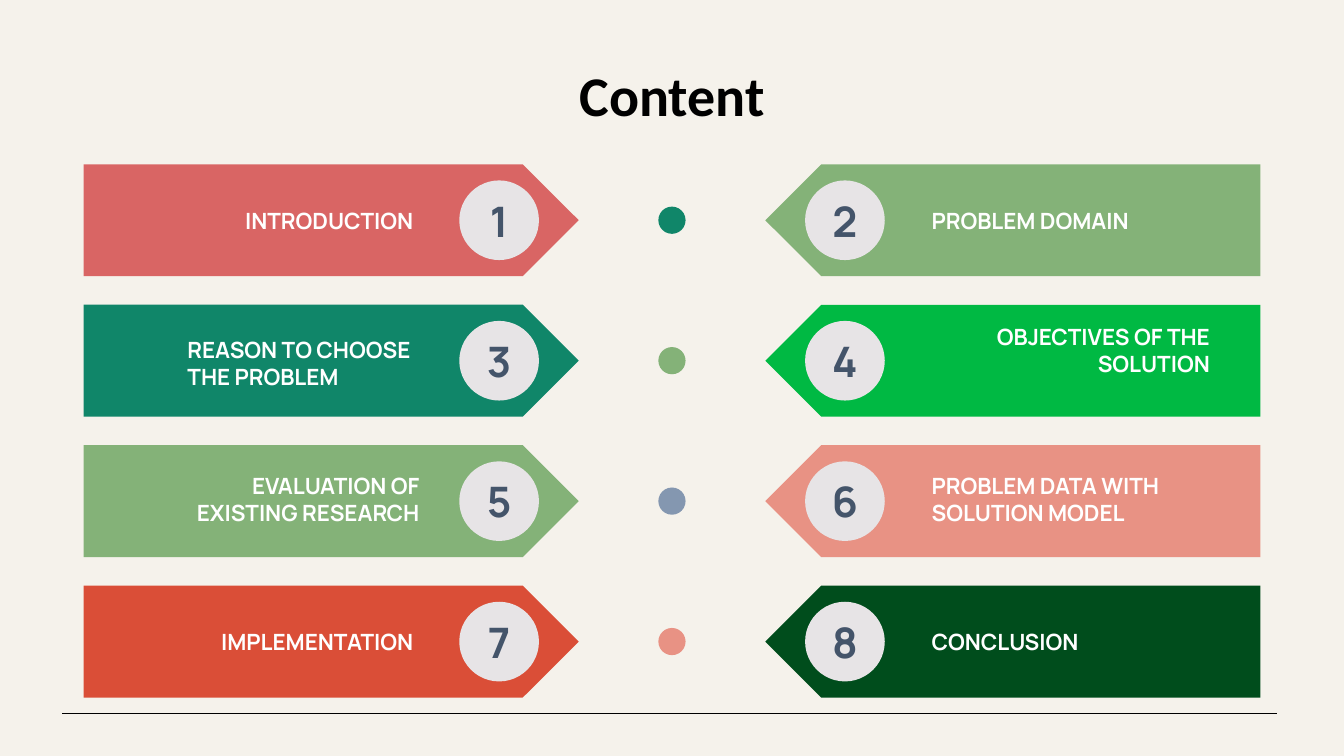
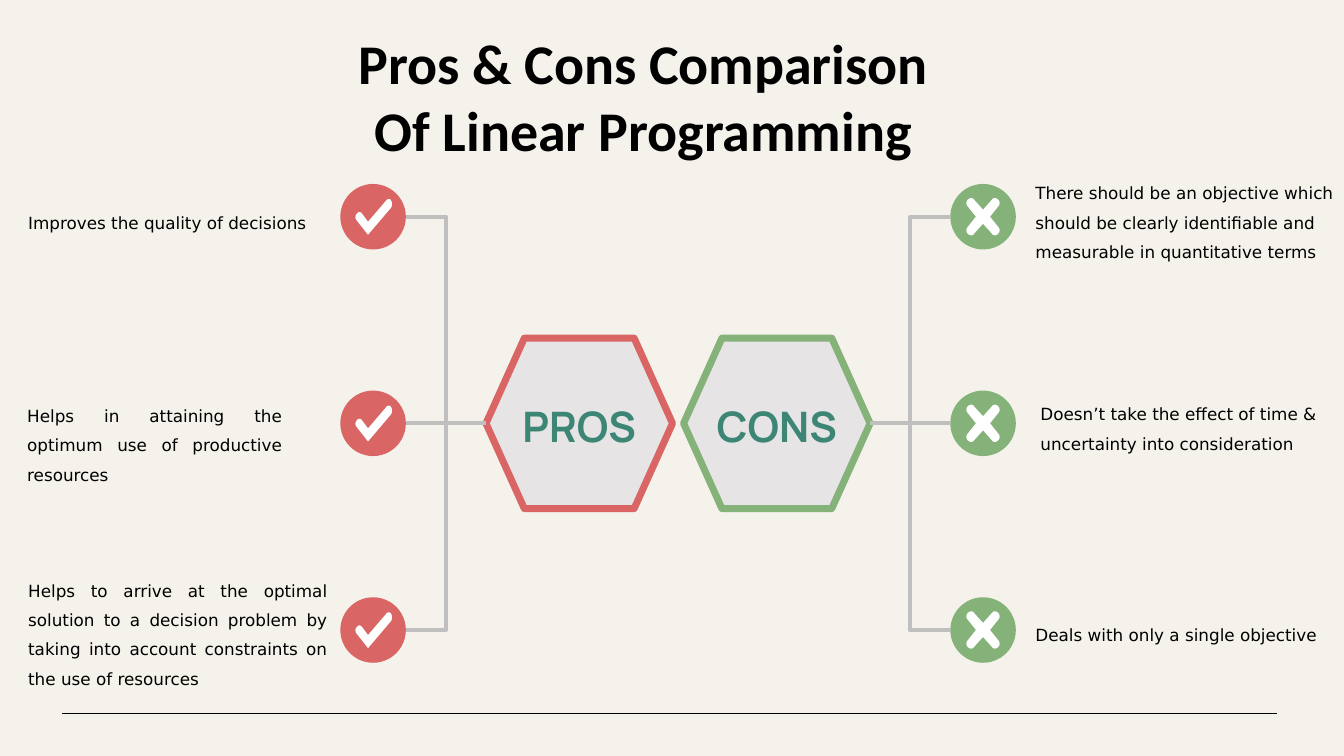
"""Build a contents slide and a pros and cons slide for linear programming."""
import pptx
import pptx.util
import pptx.dml.color
import pptx.enum.shapes
import pptx.enum.text
import pptx.oxml.ns
import lxml.etree

Inches = pptx.util.Inches
SHAPE = pptx.enum.shapes.MSO_SHAPE
CONNECTOR = pptx.enum.shapes.MSO_CONNECTOR
ANCHOR = pptx.enum.text.MSO_ANCHOR
ALIGN = pptx.enum.text.PP_ALIGN
LEFT, RIGHT, CENTER, JUSTIFY = ALIGN.LEFT, ALIGN.RIGHT, ALIGN.CENTER, ALIGN.JUSTIFY

COLORS = {
    "paper": "F5F2EB", "black": "000000", "white": "FFFFFF", "disc": "E7E4E6",
    "slate": "44546A", "wire": "BFBFBF", "red": "D96564", "sage": "84B278",
    "teal": "108669", "green": "00B943", "salmon": "E89284", "brick": "DA4E37",
    "forest": "004D1C", "blue": "8497B0", "heading": "3D8575",
}
WIDTH, HEIGHT = 13.33, 7.5

# label, banner colour, text left, text width, alignment, vertical shift
CHAPTERS = [
    ("INTRODUCTION", "red", 2.24, 1.91, RIGHT, 0),
    ("PROBLEM DOMAIN", "sage", 9.19, 2.46, LEFT, 0),
    ("REASON TO CHOOSE THE PROBLEM", "teal", 1.81, 2.77, LEFT, 0.02),
    ("OBJECTIVES OF THE SOLUTION", "green", 8.98, 3.07, RIGHT, -0.11),
    ("EVALUATION OF EXISTING RESEARCH", "sage", 1.6, 2.61, RIGHT, -0.02),
    ("PROBLEM DATA WITH SOLUTION MODEL", "salmon", 9.19, 2.66, LEFT, -0.02),
    ("IMPLEMENTATION", "brick", 1.99, 2.16, RIGHT, 0),
    ("CONCLUSION", "forest", 9.19, 1.97, LEFT, 0),
]
DOTS = ["teal", "sage", "blue", "salmon"]

# text, left, width, alignment, vertical shift
PROS = [
    ("Improves the quality of decisions", 0.23, 3.07, LEFT, 0.01),
    ("Helps in attaining the optimum use of productive resources",
     0.22, 2.63, JUSTIFY, 0.17),
    ("Helps to arrive at the optimal solution to a decision problem by taking "
     "into account constraints on the use of resources", 0.23, 3.07, JUSTIFY, 0),
]
CONS = [
    ("There should be an objective which should be clearly identifiable and "
     "measurable in quantitative terms", 10.22, 3.07, LEFT, 0.01),
    ("Doesn’t take the effect of time & uncertainty into consideration",
     10.27, 2.86, LEFT, 0.01),
    ("Deals with only a single objective", 10.22, 2.97, LEFT, 0),
]

# hundredths of an inch from the centre: one point is a line, three a curve
TICK = [(-5, 18)], [
    [(-16, 4)], [(-18, 2), (-18, -1), (-16, -3)], [(-15, -5), (-12, -5), (-11, -3)],
    [(-5, 5)], [(13, -16)], [(14, -18), (17, -18), (18, -16)],
    [(19, -14), (19, -11), (18, -9)],
]
CROSS_ARM = [(0, -7)], [
    [(9, -17)], [(10, -19), (13, -19), (15, -17)], [(17, -15), (17, -12), (15, -10)],
    [(7, 0)],
]


def rgb(name):
    return pptx.dml.color.RGBColor.from_string(COLORS[name])


def write(holder, lines, font, size, color, bold=True, align=CENTER,
          anchor=ANCHOR.MIDDLE, spacing=None, insets=(0.05, 0.02, 0.05, 0.02)):
    frame = holder.text_frame
    frame.text = "\n".join(lines)
    frame.word_wrap = True
    frame.vertical_anchor = anchor
    (frame.margin_left, frame.margin_top,
     frame.margin_right, frame.margin_bottom) = map(Inches, insets)
    for paragraph in frame.paragraphs:
        paragraph.alignment = align
        paragraph.line_spacing = spacing
        for run in paragraph.runs:
            run.font.name, run.font.size = font, pptx.util.Pt(size)
            run.font.bold, run.font.color.rgb = bold, rgb(color)


def add_text(slide, left, top, width, height, lines, *style, **options):
    box = slide.shapes.add_textbox(*map(Inches, (left, top, width, height)))
    write(box, lines, *style, **options)


def add_title(slide, lines, center, top):
    width = 10.16
    add_text(slide, center - width / 2, top, width, 0.7 * len(lines), lines,
             "Calibri", 40, "black", anchor=ANCHOR.TOP)


def paint(shape, fill, line=None, weight=0):
    shape.shadow.inherit = False
    shape.fill.solid()
    shape.fill.fore_color.rgb = rgb(fill)
    if line:
        shape.line.color.rgb = rgb(line)
        shape.line.width = pptx.util.Pt(weight)
    else:
        shape.line.fill.background()
    return shape


def add_shape(slide, kind, left, top, width, height, *colors):
    box = map(Inches, (left, top, width, height))
    return paint(slide.shapes.add_shape(kind, *box), *colors)


def add_disc(slide, x, y, size, fill):
    return add_shape(slide, SHAPE.OVAL, x - size / 2, y - size / 2, size, size, fill)


def add_wire(slide, kind, start, end, color, weight):
    wire = slide.shapes.add_connector(kind, *map(Inches, (*start, *end)))
    wire.line.color.rgb = rgb(color)
    wire.line.width = pptx.util.Pt(weight)
    properties = wire.element.find(pptx.oxml.ns.qn("p:spPr"))
    lxml.etree.SubElement(properties, pptx.oxml.ns.qn("a:effectLst"))
    return wire


def trace(start, segments, steps=6):
    points = list(start)
    for segment in segments:
        if len(segment) == 1:
            points += segment
            continue
        controls = [points[-1], *segment]
        for step in range(1, steps + 1):
            t = step / steps
            weights = ((1 - t) ** 3, 3 * t * (1 - t) ** 2, 3 * t * t * (1 - t), t ** 3)
            points.append(tuple(sum(w * c[axis] for w, c in zip(weights, controls))
                                for axis in (0, 1)))
    return points


def cross_outline():
    arm = trace(*CROSS_ARM)
    half = arm + [(x, -y) for x, y in reversed(arm)]
    return half + [(-x, -y) for x, y in half]


def add_mark(slide, x, y, outline):
    points = [(Inches(x + dx / 100), Inches(y + dy / 100)) for dx, dy in outline]
    builder = slide.shapes.build_freeform(*points[0], scale=1.0)
    builder.add_line_segments(points[1:], close=True)
    paint(builder.convert_to_shape(), "white")


def build_contents(slide):
    add_title(slide, ["Content"], WIDTH / 2, 0.58)
    top, bottom, margin, width, height = 1.63, 6.92, 0.83, 4.91, 1.11
    disc_x, label_height = 4.95, 0.59
    pitch = (bottom - top - height) / (len(DOTS) - 1)
    for index, (label, color, left, label_width, align, shift) in enumerate(CHAPTERS):
        row, on_right = divmod(index, 2)
        row_top = top + row * pitch
        middle = row_top + height / 2
        banner_left = WIDTH - margin - width if on_right else margin
        banner = add_shape(slide, SHAPE.PENTAGON, banner_left, row_top,
                           width, height, color)
        banner.rotation = 180 * on_right
        disc = add_disc(slide, WIDTH - disc_x if on_right else disc_x, middle,
                        0.79, "disc")
        write(disc, [str(index + 1)], "Manrope", 30, "slate", insets=(0, 0, 0, 0))
        add_text(slide, left, middle + shift - label_height / 2, label_width,
                 label_height, [label], "Manrope", 16, "white", align=align)
    for row, color in enumerate(DOTS):
        add_disc(slide, WIDTH / 2, top + row * pitch + height / 2, 0.27, color)


def build_comparison(slide):
    add_title(slide, ["Pros & Cons Comparison", "Of Linear Programming"], 6.38, 0.26)
    first, pitch, disc_size, text_height = 2.15, 2.05, 0.65, 1.2
    hub_y, hub_width, hub_height = first + pitch, 1.85, 1.69
    sides = [
        ("PROS", "red", PROS, 4.82, 3.7, 1, trace(*TICK)),
        ("CONS", "sage", CONS, 6.78, 9.75, -1, cross_outline()),
    ]
    for name, color, points, hub_left, disc_x, inward, outline in sides:
        hub = add_shape(slide, SHAPE.HEXAGON, hub_left, hub_y - hub_height / 2,
                        hub_width, hub_height, "disc", color, 5)
        hub.adjustments[0] = 0.225
        write(hub, [name], "Manrope", 30, "heading", insets=(0, 0.05, 0, 0))
        hub_edge = hub_left if inward > 0 else hub_left + hub_width
        for row, (text, left, width, align, shift) in enumerate(points):
            y = first + row * pitch
            add_disc(slide, disc_x, y, disc_size, color)
            add_mark(slide, disc_x, y, outline)
            kind = CONNECTOR.STRAIGHT if y == hub_y else CONNECTOR.ELBOW
            add_wire(slide, kind, (disc_x + inward * disc_size / 2, y),
                     (hub_edge, hub_y), "wire", 3)
            add_text(slide, left, y + shift - text_height / 2, width, text_height,
                     [text], "DejaVu Sans", 12, "black", bold=False, align=align,
                     spacing=1.46)


def main():
    deck = pptx.Presentation()
    deck.slide_width, deck.slide_height = Inches(WIDTH), Inches(HEIGHT)
    background = deck.slide_master.background.fill
    background.solid()
    background.fore_color.rgb = rgb("paper")
    blank = deck.slide_layouts[6]
    contents, comparison = (deck.slides.add_slide(blank) for _ in range(2))
    footer = add_wire(contents, CONNECTOR.STRAIGHT, (0.62, 7.08), (12.67, 7.08),
                      "black", 1)
    blank.shapes.element.append(footer.element)
    build_contents(contents)
    build_comparison(comparison)
    deck.save("out.pptx")


if __name__ == "__main__":
    main()
